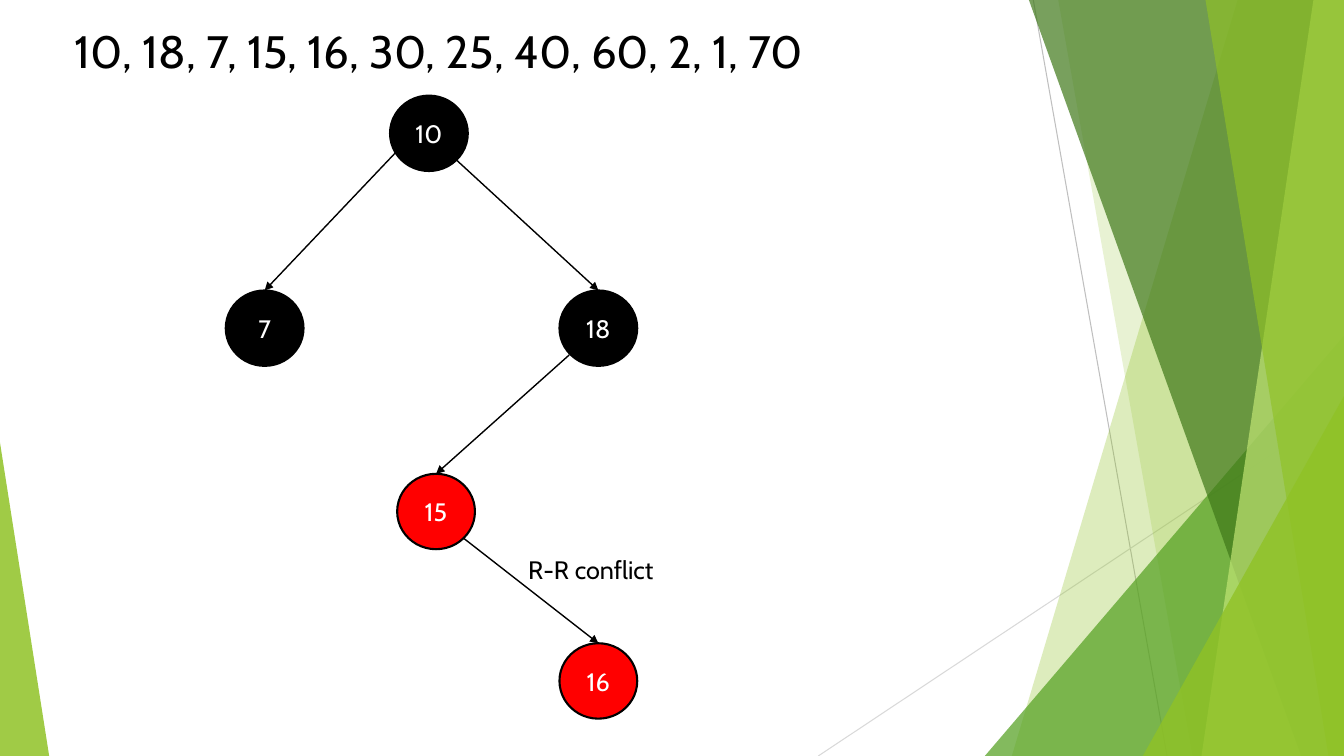
"""Build a slide that shows a red-black tree with a red-red conflict."""
from lxml import etree
from pptx import Presentation
from pptx.dml.color import RGBColor
from pptx.enum.shapes import MSO_CONNECTOR, MSO_SHAPE
from pptx.enum.text import MSO_ANCHOR, MSO_AUTO_SIZE, PP_ALIGN
from pptx.oxml.ns import qn
from pptx.util import Cm, Pt

LINE = MSO_CONNECTOR.STRAIGHT
CIRCLE = MSO_SHAPE.FLOWCHART_CONNECTOR
WEDGE = MSO_SHAPE.ISOSCELES_TRIANGLE
TOP, MIDDLE = MSO_ANCHOR.TOP, MSO_ANCHOR.MIDDLE
LEFT, CENTER = PP_ALIGN.LEFT, PP_ALIGN.CENTER
FIT, FIXED = MSO_AUTO_SIZE.SHAPE_TO_FIT_TEXT, MSO_AUTO_SIZE.NONE

TITLE = "10, 18, 7, 15, 16, 30, 25, 40, 60, 2, 1, 70"
LABEL = "R-R conflict"
NODES = {
    "10": (9.83, 2.41, "black"),
    "18": (14.1, 7.32, "black"),
    "7": (5.69, 7.32, "black"),
    "15": (10.01, 11.94, "red"),
    "16": (14.1, 16.21, "red"),
}
EDGES = [
    ("10", "18", 0.71, 0.71),
    ("10", "7", -0.82, 0.47),
    ("18", "15", -0.75, 0.71),
    ("15", "16", 0.71, 0.71),
]
RAYS = [
    (26.04, 0, 29.41, 19.05, "gray"),
    (33.87, 10.24, 20.62, 19.05, "pale"),
]
DECOR = [
    ("band", 31.19, 25.5, "lime", 30),
    ("band", 26.67, 30.05, "lime", 20),
    ("wedge", 24.82, 8.46, 9.05, 1, "green", 72),
    ("band", 25.93, 32.79, "dark", 70),
    ("band", 33.1, 30.28, "light", 70),
    ("band", 30.38, 33.48, "lime", 65),
    ("wedge", 28.8, 9.98, 5.07, 1, "lime", 80),
    ("wedge", 0, 11.15, 1.24, 0, "lime", 85),
]
THEME = {
    "font": "Cabin", "title": 32.4, "body": 18,
    "black": "000000", "white": "FFFFFF", "red": "FF0000",
    "gray": "BFBFBF", "pale": "D9D9D9", "lime": "90C226",
    "green": "54A021", "dark": "3F7819", "light": "C0E474",
}
WIDE, HIGH = 33.87, 19.05
NODE_W, NODE_H = 1.96, 1.9


def tint(name):
    return RGBColor.from_string(THEME[name])


def write(shape, text, size="body", color="black", align=LEFT, anchor=TOP, fit=FIXED):
    frame = shape.text_frame
    frame.text = text
    frame.word_wrap = True
    frame.auto_size = fit
    frame.vertical_anchor = anchor
    para = frame.paragraphs[0]
    para.alignment = align
    font = para.runs[0].font
    font.name, font.size = THEME["font"], Pt(THEME[size])
    font.color.rgb = tint(color)


def paint(shape, color, alpha=100):
    shape.shadow.inherit = False
    shape.fill.solid()
    shape.fill.fore_color.rgb = tint(color)
    shape.line.fill.background()
    if alpha < 100:
        tone = shape.fill._xPr.find(".//" + qn("a:srgbClr"))
        etree.SubElement(tone, qn("a:alpha"), val=str(alpha * 1000))


def draw_line(shapes, x1, y1, x2, y2, color, width, arrow=False):
    line = shapes.add_connector(LINE, Cm(x1), Cm(y1), Cm(x2), Cm(y2))
    line.line.color.rgb = tint(color)
    line.line.width = Pt(width)
    if arrow:
        etree.SubElement(line.line._get_or_add_ln(), qn("a:tailEnd"), type="triangle")
    etree.SubElement(line._element.spPr, qn("a:effectLst"))


def draw_band(shapes, top, base, color, alpha):
    pen = shapes.build_freeform(Cm(top), 0, scale=1.0)
    corners = [(WIDE, 0), (WIDE, HIGH), (base, HIGH)]
    pen.add_line_segments([(Cm(x), Cm(y)) for x, y in corners], close=True)
    paint(pen.convert_to_shape(), color, alpha)


def draw_wedge(shapes, left, top, width, tip, color, alpha):
    wedge = shapes.add_shape(WEDGE, Cm(left), Cm(top), Cm(width), Cm(HIGH - top))
    wedge.adjustments[0] = tip
    paint(wedge, color, alpha)


def draw_node(shapes, text, left, top, color):
    node = shapes.add_shape(CIRCLE, Cm(left), Cm(top), Cm(NODE_W), Cm(NODE_H))
    paint(node, color)
    node.line.color.rgb = tint("black")
    node.line.width = Pt(1.5)
    write(node, text, color="white", align=CENTER, anchor=MIDDLE)


def draw_edge(shapes, start, end, across, down):
    left, top, _ = NODES[start]
    x1 = left + NODE_W / 2 * (1 + across)
    y1 = top + NODE_H / 2 * (1 + down)
    left, top, _ = NODES[end]
    draw_line(shapes, x1, y1, left + NODE_W / 2, top, "black", 1, arrow=True)


def main():
    deck = Presentation()
    deck.slide_width, deck.slide_height = Cm(WIDE), Cm(HIGH)
    shapes = deck.slides.add_slide(deck.slide_layouts[5]).shapes
    for ray in RAYS:
        draw_line(shapes, *ray, 0.75)
    tools = {"band": draw_band, "wedge": draw_wedge}
    for kind, *form in DECOR:
        tools[kind](shapes, *form)
    title = shapes.title
    title.left, title.top, title.width, title.height = Cm(1.63), Cm(0.46), Cm(23.88), Cm(1.57)
    write(title, TITLE, size="title")
    for text, place in NODES.items():
        draw_node(shapes, text, *place)
    for edge in EDGES:
        draw_edge(shapes, *edge)
    label = shapes.add_textbox(Cm(13.06), Cm(13.84), Cm(4.04), Cm(1.02))
    write(label, LABEL, fit=FIT)
    deck.save("out.pptx")


if __name__ == "__main__":
    main()
